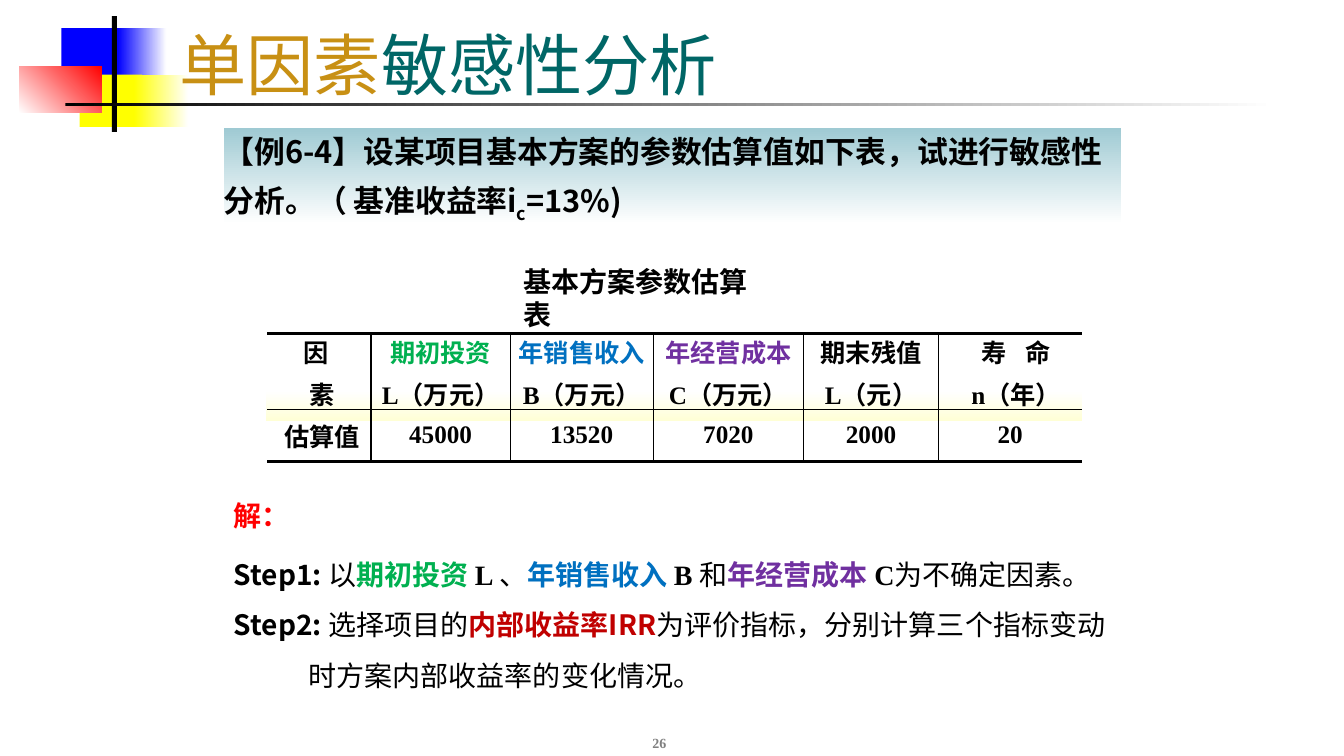
from dataclasses import dataclass
from lxml import etree
from pptx import Presentation
from pptx.dml.color import RGBColor
from pptx.enum.shapes import MSO_SHAPE
from pptx.enum.text import MSO_ANCHOR, MSO_AUTO_SIZE, PP_ALIGN
from pptx.oxml.ns import qn
from pptx.util import Inches, Pt

RECT = MSO_SHAPE.RECTANGLE
LOW, MID, TOP = MSO_ANCHOR.BOTTOM, MSO_ANCHOR.MIDDLE, MSO_ANCHOR.TOP
LEFT, CENTER = PP_ALIGN.LEFT, PP_ALIGN.CENTER
FIT, FIXED = MSO_AUTO_SIZE.SHAPE_TO_FIT_TEXT, MSO_AUTO_SIZE.NONE


@dataclass(frozen=True)
class Theme:
    black: str = "000000"
    white: str = "FFFFFF"
    blue: str = "0000FF"
    yellow: str = "FFFF00"
    red: str = "FF0000"
    gold: str = "C89014"
    teal: str = "006666"
    gray: str = "808080"
    mist: str = "9FCAD3"
    cream: str = "FFFFD5"
    invest: str = "00B050"
    sales: str = "0070C0"
    cost: str = "7030A0"
    rate: str = "C00000"
    serif: str = "Times New Roman"
    sans: str = "Noto Sans CJK SC"
    plain: str = "Arial"
    title: int = 48
    lead: int = 22
    body: int = 20
    cell: int = 18
    foot: int = 10


T = Theme()


def cells(*sizes):
    """Turn grid cells of a tenth of an inch into lengths."""
    return [Inches(n / 10) for n in sizes]


def place(shape, box):
    shape.left, shape.top, shape.width, shape.height = cells(*box)


def paint(shape, tone, end=None, angle=0):
    fill = shape.fill
    if end is None:
        fill.solid()
        fill.fore_color.rgb = RGBColor.from_string(tone)
        return
    fill.gradient()
    fill.gradient_angle = angle
    for stop, shade in zip(fill.gradient_stops, (tone, end)):
        stop.color.rgb = RGBColor.from_string(shade)


def block(slide, box, *tones):
    shape = slide.shapes.add_shape(RECT, *cells(*box))
    shape.shadow.inherit = False
    shape.line.fill.background()
    paint(shape, *tones)
    return shape


def write(para, text, size, tone=T.black, bold=True, font=T.sans):
    run = para.add_run()
    run.text = text
    run.font.size = Pt(size)
    run.font.bold = bold
    run.font.name = font
    run.font.color.rgb = RGBColor.from_string(tone)
    east = etree.Element(qn("a:ea"), typeface=T.sans)
    run.font.fill  # colour precedes the typefaces
    run.font._element.find(qn("a:latin")).addnext(east)
    return run


def setup(frame, anchor=TOP, fit=FIXED, wrap=True, inset=None):
    frame.word_wrap = wrap
    frame.auto_size = fit
    frame.vertical_anchor = anchor
    if inset is not None:
        frame.margin_left = frame.margin_right = inset
        frame.margin_top = frame.margin_bottom = inset
    return frame.paragraphs[0]


def label(slide, box, text, size, align=LEFT, **look):
    frame = slide.shapes.add_textbox(*cells(*box)).text_frame
    return frame, text, size, align, look


def emblem(slide, box):
    """Corner blocks, upright bar and fading rule."""
    x, y = box
    parts = [
        ((4.2, 1.2, 6.4, 5.2), T.blue),
        ((9.8, 1.2, 4.8, 5.2), T.blue, T.white),
        ((6, 5.8, 6.2, 5.2), T.yellow),
        ((11.4, 5.8, 5.4, 5.2), T.yellow, T.white),
        ((0, 5, 8.2, 4.6), T.white, T.red, 45),
        ((9.2, 0, 0.5, 11.5), T.black),
        ((4.6, 8.6, 120, 0.3), T.black, T.white),
    ]
    for (dx, dy, w, h), *tones in parts:
        last = block(slide, (x + dx, y + dy, w, h), *tones)
    return last


def heading(slide, box, below):
    title = slide.shapes.title
    place(title, box)
    below.element.addnext(title.element)
    para = setup(title.text_frame, LOW)
    para.alignment = LEFT
    for text, tone in (("单因素", T.gold), ("敏感性分析", T.teal)):
        write(para, text, T.title, tone, False, T.serif)


def problem(slide, box):
    shape = block(slide, box, T.mist, T.white, 270)
    para = setup(shape.text_frame, LOW, FIT, inset=0)
    para.alignment = LEFT
    para.line_spacing = 1.3
    write(para, "【例6-4】设某项目基本方案的参数估算值如下表，试进行敏感性分析。（ 基准收益率i", T.lead)
    sub = write(para, "c", T.lead)
    sub.font._element.set("baseline", "-25000")
    write(para, "=13%)", T.lead)


def note(slide, box, text, size, tone, font, align=LEFT, anchor=TOP, fit=FIXED, wrap=True):
    frame = slide.shapes.add_textbox(*cells(*box)).text_frame
    para = setup(frame, anchor, fit, wrap)
    para.alignment = align
    write(para, text, size, tone, True, font)


def border(cell, widths):
    """Draw left, right, top and bottom edges; zero means none."""
    props = cell._tc.get_or_add_tcPr()
    for side, width in zip("LRTB", widths):
        line = etree.SubElement(props, qn(f"a:ln{side}"), w=str(Pt(width)))
        if width:
            fill = etree.SubElement(line, qn("a:solidFill"))
            etree.SubElement(fill, qn("a:srgbClr"), val=T.black)
        else:
            etree.SubElement(line, qn("a:noFill"))


def factors(slide, box):
    x, y, w, h = box
    block(slide, (x - 0.1, y + 5.7, w + 0.2, 3), T.white, T.cream, 270)
    columns = [
        (10.3, "因 ", " 素", " 估算值", T.black),
        (13.8, "期初投资", "L（万元）", "45000", T.invest),
        (14.2, "年销售收入", "B（万元）", "13520", T.sales),
        (14.9, "年经营成本", "C（万元）", "7020", T.cost),
        (13.4, "期末残值", "L（元）", "2000", T.black),
        (14.2, "寿 命", "n（年）", "20", T.black),
    ]
    final = len(columns) - 1
    table = slide.shapes.add_table(2, len(columns), *cells(*box)).table
    table.first_row = table.horz_banding = False
    for row, size in zip(table.rows, cells(7.5, 5.2)):
        row.height = size
    for c, (width, name, unit, value, tone) in enumerate(columns):
        table.columns[c].width = cells(width)[0]
        for r, lines in enumerate(([(name, tone), (unit, T.black)], [(value, T.black)])):
            cell = table.cell(r, c)
            cell.margin_left = cell.margin_right = 0
            cell.margin_top = cell.margin_bottom = 0
            cell.vertical_anchor = MID
            if c == final and r == 0:
                cell.margin_left = Inches(0.12)
            border(cell, (c > 0, c < final, 1 if r else 2.25, 2.25 if r else 1))
            cell.fill.background()
            for i, (text, shade) in enumerate(lines):
                para = cell.text_frame.paragraphs[0] if i == 0 else cell.text_frame.add_paragraph()
                para.alignment = CENTER
                para.space_before = Pt(3.6 * i)
                run = write(para, text, T.cell, shade, True, T.serif)
                if text == "寿 命":
                    run.font._element.set("spc", "450")


def answer(slide, box):
    body = slide.placeholders[1]
    place(body, box)
    setup(body.text_frame, fit=FIT)
    # Each line: indent, space after, runs
    lines = [
        (0, 6, [("解：", T.red, True, T.plain)]),
        (0, 0, [("Step1: ",), ("以", T.black, False), ("期初投资 ", T.invest),
                ("L ", T.black, True, T.serif), ("、", T.black, False),
                ("年销售收入 ", T.sales), ("B ", T.black, True, T.serif),
                ("和", T.black, False), ("年经营成本 ", T.cost),
                ("C", T.black, True, T.serif), ("为不确定因素。", T.black, False)]),
        (0, 0, [("Step2: ",), ("选择项目的", T.black, False), ("内部收益率IRR", T.rate),
                ("为评价指标，分别计算三个指标变动", T.black, False)]),
        (0.74, 0, [("时方案内部收益率的变化情况。", T.black, False)]),
    ]
    for i, (indent, after, runs) in enumerate(lines):
        para = body.text_frame.paragraphs[0] if i == 0 else body.text_frame.add_paragraph()
        props = para._p.get_or_add_pPr()
        props.set("marL", str(Inches(indent)))
        props.set("indent", "0")
        etree.SubElement(props, qn("a:buNone"))
        para.alignment = LEFT
        para.line_spacing = 1.5
        para.space_before, para.space_after = Pt(0), Pt(after)
        for text, *look in runs:
            write(para, text, T.body, *look)


def main():
    deck = Presentation()
    deck.slide_width, deck.slide_height = cells(133.3, 75)
    slide = deck.slides.add_slide(deck.slide_layouts[1])
    rule = emblem(slide, (1.9, 1.6))
    heading(slide, (16.8, 1.6, 113.6, 9.2), rule)
    problem(slide, (22.2, 12.7, 89, 9.5))
    note(slide, (50.9, 25.7, 27, 4.3), "基本方案参数估算表", T.body, T.black, T.plain,
         fit=FIT, wrap=False)
    factors(slide, (26.5, 33.1, 80.7, 12.7))
    answer(slide, (22.2, 47.3, 90.8, 21.5))
    note(slide, (51.5, 70, 27.8, 5), "26", T.foot, T.gray, T.serif, CENTER, LOW)
    deck.save("out.pptx")


if __name__ == "__main__":
    main()
